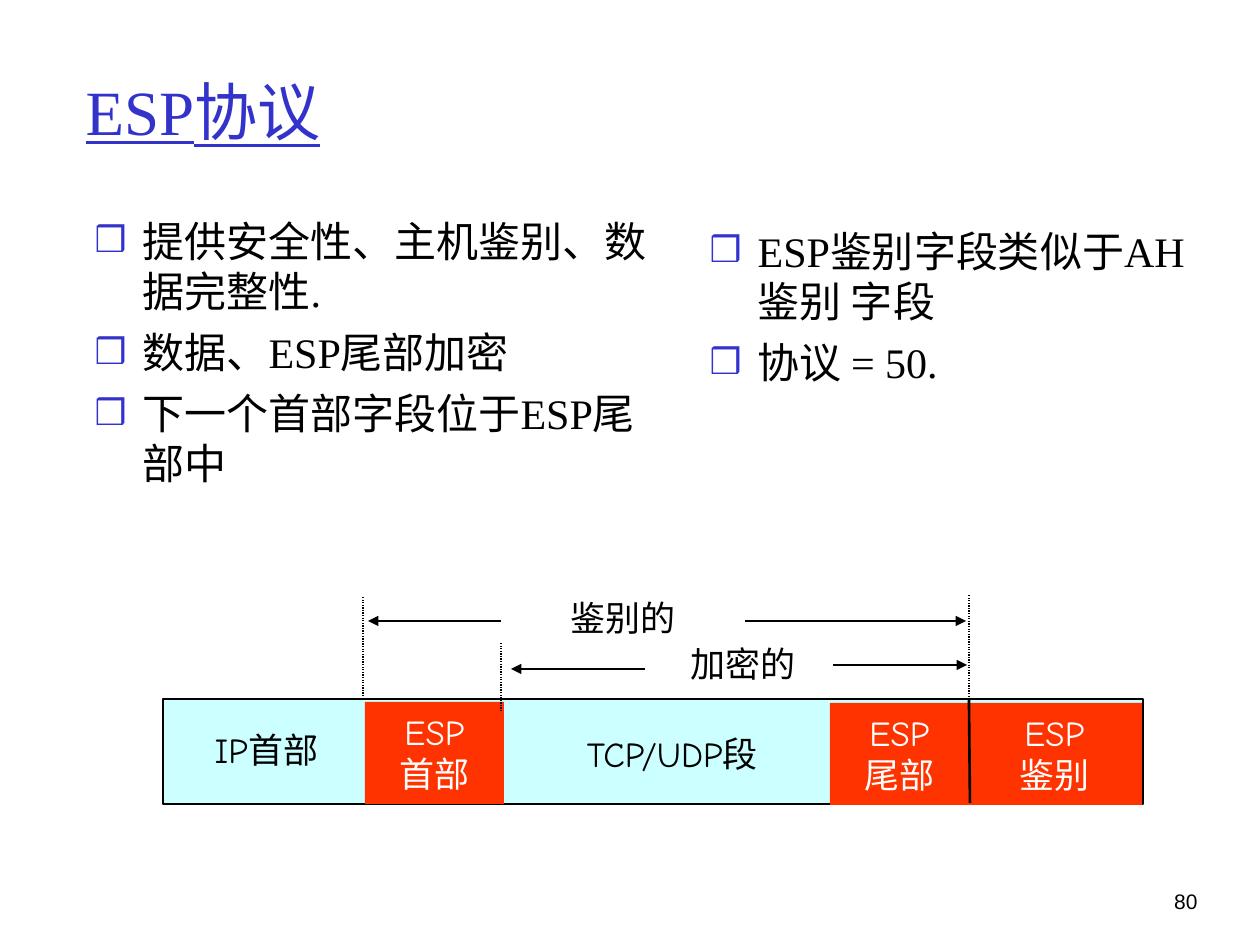
"""Build the ESP protocol slide with its packet layout diagram."""
from typing import NamedTuple, Optional

from lxml.etree import SubElement
from pptx import Presentation
from pptx.dml.color import RGBColor
from pptx.enum.dml import MSO_LINE
from pptx.enum.shapes import MSO_CONNECTOR as Connector, MSO_SHAPE as Shape
from pptx.enum.text import MSO_ANCHOR as Anchor, MSO_AUTO_SIZE as AutoSize, PP_ALIGN as Align
from pptx.oxml.ns import qn
from pptx.util import Emu, Pt

EMU_PER_PX = 914400 / 126
BLUE = RGBColor(0x33, 0x33, 0xCC)
BLACK = RGBColor(0, 0, 0)
WHITE = RGBColor(0xFF, 0xFF, 0xFF)
CYAN = RGBColor(0xCC, 0xFF, 0xFF)
RED = RGBColor(0xFF, 0x33, 0x00)
SERIF, COMIC, SANS = "Times New Roman", "Comic Neue", "Arial"


class Box(NamedTuple):
    left: int
    top: int
    width: int
    height: int


class Bullets(NamedTuple):
    box: Box
    items: tuple[str, ...]


class Field(NamedTuple):
    box: Box
    fill: RGBColor
    lines: tuple[str, ...] = ()
    outline: Optional[RGBColor] = None


class Label(NamedTuple):
    box: Box
    text: str
    font: str = COMIC
    size: int = 20
    align: Align = Align.CENTER


class Stroke(NamedTuple):
    start: tuple[int, int]
    end: tuple[int, int]
    width: float = 0.75
    arrow: bool = False
    dotted: bool = False


TITLE_BOX = Box(73, 32, 1071, 157)
BULLET_LISTS = (
    Bullets(Box(82, 209, 607, 341),
            ("提供安全性、主机鉴别、数据完整性.", "数据、ESP尾部加密", "下一个首部字段位于ESP尾部中")),
    Bullets(Box(697, 219, 525, 339), ("ESP鉴别字段类似于AH 鉴别 字段", "协议 = 50.")),
)
FIELDS = (
    Field(Box(163, 699, 980, 105), CYAN, outline=BLACK),
    Field(Box(365, 702, 139, 102), RED, ("ESP", "首部")),
    Field(Box(830, 703, 139, 102), RED, ("ESP", "尾部")),
    Field(Box(967, 703, 175, 102), RED, ("ESP", "鉴别")),
)
LABELS = (
    Label(Box(198, 722, 137, 55), "IP首部"),
    Label(Box(568, 726, 209, 55), "TCP/UDP段"),
    Label(Box(678, 636, 130, 55), "加密的"),
    Label(Box(558, 590, 130, 55), "鉴别的"),
    Label(Box(1109, 882, 101, 40), "80", SANS, 12, Align.RIGHT),
)
STROKES = (
    Stroke((969, 699), (970, 803), width=1.5),
    Stroke((833, 665), (967, 665), arrow=True),
    Stroke((645, 669), (511, 669), arrow=True),
    Stroke((501, 621), (368, 621), arrow=True),
    Stroke((745, 621), (966, 621), arrow=True),
    Stroke((363, 597), (363, 699), dotted=True),
    Stroke((969, 595), (969, 697), dotted=True),
    Stroke((501, 643), (501, 711), dotted=True),
)


def px(length: int) -> Emu:
    """Turn pixels into EMU."""
    return Emu(round(length * EMU_PER_PX))


def place(shape, box: Box) -> None:
    """Move and size a shape."""
    shape.left, shape.top, shape.width, shape.height = map(px, box)


def style(paragraph, font: str, size: int, color: RGBColor, align: Align) -> None:
    """Format a whole paragraph."""
    paragraph.alignment = align
    paragraph.font.name = font
    paragraph.font.size = Pt(size)
    paragraph.font.color.rgb = color


def add_bullet(paragraph) -> None:
    """Give a paragraph a blue hanging box bullet."""
    properties = paragraph._p.get_or_add_pPr()
    properties.set("marL", str(px(48)))
    properties.set("indent", str(-px(48)))
    SubElement(SubElement(properties, qn("a:buClr")), qn("a:srgbClr"), val=str(BLUE))
    SubElement(properties, qn("a:buSzPct"), val="85000")
    SubElement(properties, qn("a:buChar"), char="❒")


def fill_title(title) -> None:
    """Write the underlined title."""
    place(title, TITLE_BOX)
    frame = title.text_frame
    frame.text = "ESP协议"
    frame.vertical_anchor = Anchor.MIDDLE
    heading = frame.paragraphs[0]
    style(heading, SERIF, 36, BLUE, Align.LEFT)
    heading.font.underline = True


def fill_bullets(body, bullets: Bullets) -> None:
    """Write a bulleted list into a body placeholder."""
    place(body, bullets.box)
    frame = body.text_frame
    frame.text = "\n".join(bullets.items)
    frame.auto_size = AutoSize.NONE
    for index, item in enumerate(frame.paragraphs):
        add_bullet(item)
        item.space_before = Pt(6 if index else 0)
        style(item, SERIF, 24, BLACK, Align.LEFT)


def draw_field(shapes, field: Field) -> None:
    """Draw one packet field with its centred caption."""
    block = shapes.add_shape(Shape.RECTANGLE, *map(px, field.box))
    block.shadow.inherit = False
    block.fill.solid()
    block.fill.fore_color.rgb = field.fill
    if field.outline is None:
        block.line.fill.background()
    else:
        block.line.color.rgb = field.outline
        block.line.width = Pt(0.75)
    if field.lines:
        frame = block.text_frame
        frame.text = "\n".join(field.lines)
        frame.vertical_anchor = Anchor.MIDDLE
        for caption in frame.paragraphs:
            style(caption, COMIC, 20, WHITE, Align.CENTER)


def draw_label(shapes, label: Label) -> None:
    """Draw a one-line black text."""
    frame = shapes.add_textbox(*map(px, label.box)).text_frame
    frame.word_wrap = label.align == Align.RIGHT
    frame.text = label.text
    style(frame.paragraphs[0], label.font, label.size, BLACK, label.align)


def draw_stroke(shapes, stroke: Stroke) -> None:
    """Draw a line, dotted or ending in an arrowhead when asked."""
    connector = shapes.add_connector(
        Connector.STRAIGHT, *map(px, stroke.start), *map(px, stroke.end))
    line = connector.line
    line.color.rgb = BLACK
    line.width = Pt(stroke.width)
    if stroke.dotted:
        line.dash_style = MSO_LINE.ROUND_DOT
    if stroke.arrow:
        SubElement(line._get_or_add_ln(), qn("a:tailEnd"), type="triangle")
    SubElement(connector._element.spPr, qn("a:effectLst"))


def main() -> None:
    """Assemble and save the slide."""
    deck = Presentation()
    deck.slide_width, deck.slide_height = px(1260), px(945)
    slide = deck.slides.add_slide(deck.slide_layouts[3])
    title, *bodies = slide.placeholders
    fill_title(title)
    for body, bullets in zip(bodies, BULLET_LISTS):
        fill_bullets(body, bullets)
    for field in FIELDS:
        draw_field(slide.shapes, field)
    for label in LABELS:
        draw_label(slide.shapes, label)
    for stroke in STROKES:
        draw_stroke(slide.shapes, stroke)
    deck.save("out.pptx")


if __name__ == "__main__":
    main()
